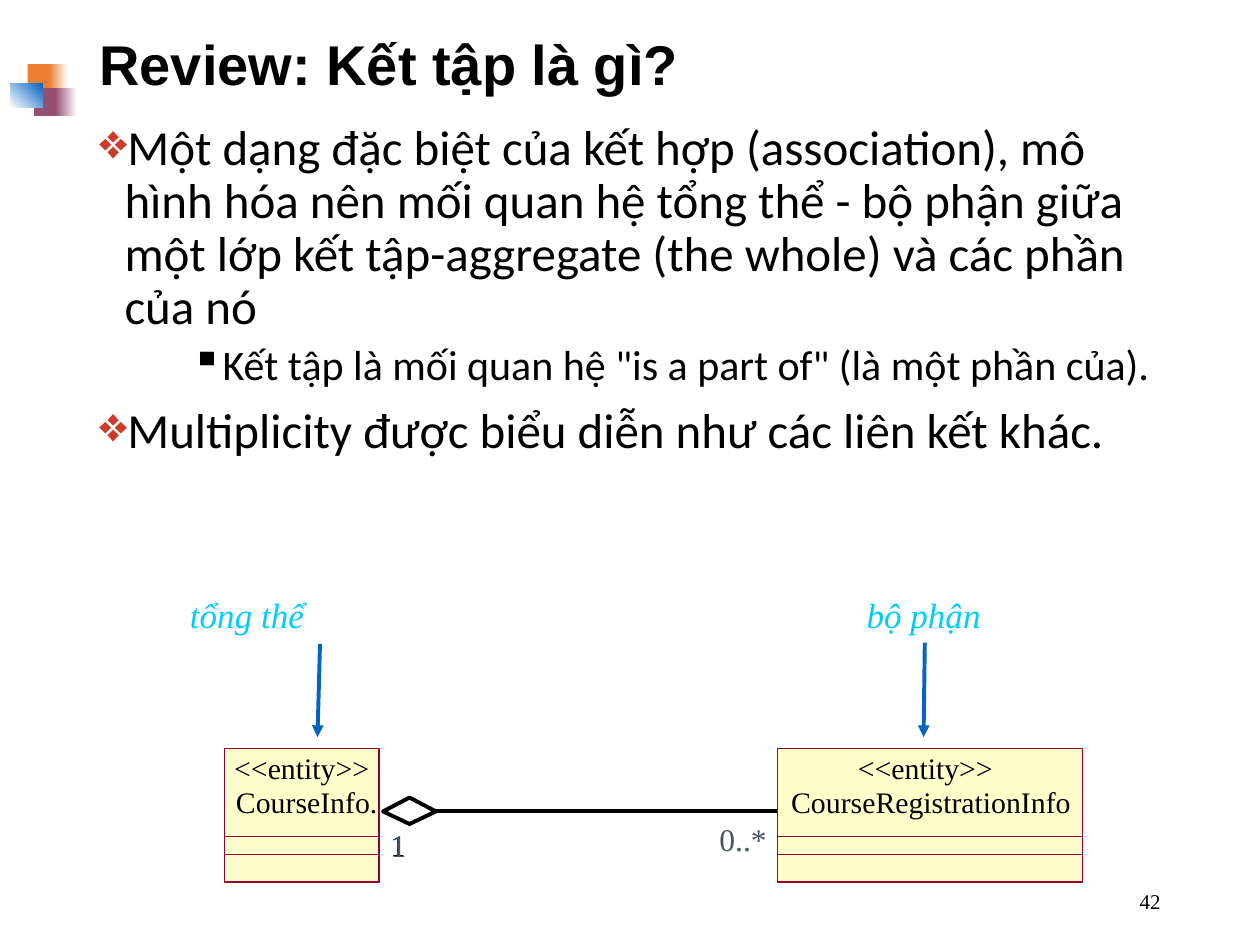
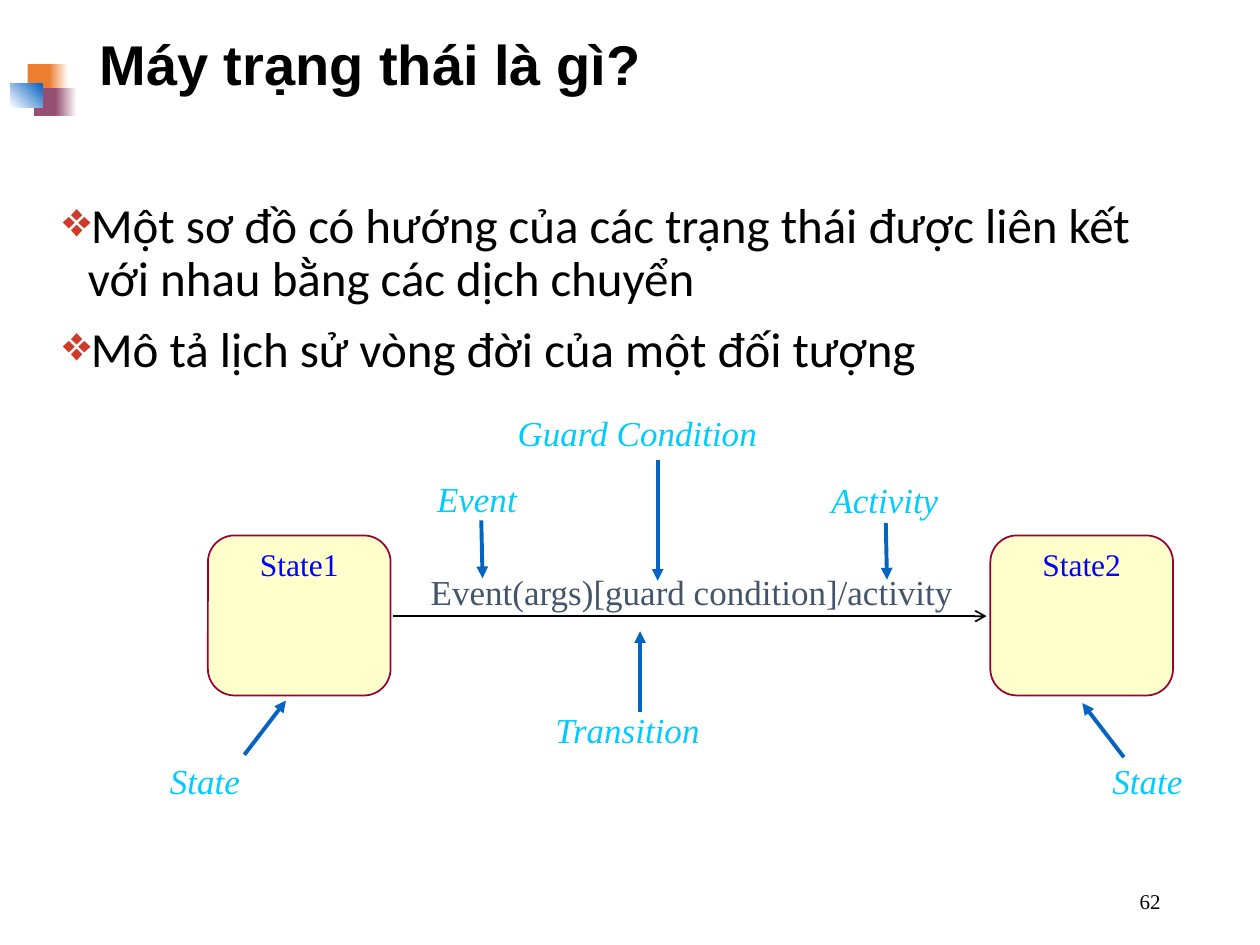
"""Build two lecture slides on aggregation and state machines."""
from dataclasses import dataclass, replace
from typing import Any, NamedTuple

from lxml import etree
from pptx import Presentation
from pptx.dml.color import RGBColor
from pptx.enum import shapes, text
from pptx.oxml import ns
from pptx.slide import Slide
from pptx.util import Inches, Pt

BLACK = RGBColor(0x00, 0x00, 0x00)
WHITE = RGBColor(0xFF, 0xFF, 0xFF)
ORANGE = RGBColor(0xED, 0x7D, 0x31)
PLUM = RGBColor(0x95, 0x4F, 0x72)
BLUE = RGBColor(0x05, 0x63, 0xC1)
CYAN = RGBColor(0x00, 0xCC, 0xFF)
SLATE = RGBColor(0x44, 0x54, 0x6A)
CREAM = RGBColor(0xFF, 0xFF, 0xCC)
WINE = RGBColor(0x99, 0x00, 0x33)
INK = RGBColor(0x00, 0x00, 0xFF)
RED = RGBColor(0xCE, 0x3B, 0x2A)

RECT = shapes.MSO_SHAPE.RECTANGLE
ROUND = shapes.MSO_SHAPE.ROUNDED_RECTANGLE
LEFT, MID, RIGHT = text.PP_ALIGN.LEFT, text.PP_ALIGN.CENTER, text.PP_ALIGN.RIGHT


@dataclass(frozen=True)
class Style:
    """Look of a text box."""
    size: int
    color: RGBColor = BLACK
    font: str = "Times New Roman"
    bold: bool = False
    slant: bool = False
    align: Any = LEFT
    tight: bool = False
    wrap: bool = True
    center: bool = False
    lead: float = 1.0


HEAD = Style(32, font="Arial", bold=True, center=True, lead=0.9)
FOOT = Style(12, align=RIGHT, center=True)
NOTE = Style(20, CYAN, slant=True)
HINT = replace(NOTE, wrap=False)
TERM = Style(17, align=MID, tight=True, wrap=False)
COUNT = Style(18, SLATE, tight=True, wrap=False)
STATE = Style(18, INK, align=MID)
RULE = Style(20, SLATE)


class Label(NamedTuple):
    """Words in a placed box."""
    words: str
    left: float
    top: float
    wide: float
    high: float
    style: Style


class Line(NamedTuple):
    """A line with an optional arrowhead at its end."""
    x1: float
    y1: float
    x2: float
    y2: float
    color: RGBColor = BLUE
    width: float = 2.25
    tip: str = "triangle"


class Tile(NamedTuple):
    """One rectangle of the corner mark."""
    left: float
    top: float
    wide: float
    high: float
    start: RGBColor
    end: RGBColor
    angle: int = 0


class Point(NamedTuple):
    """One bulleted paragraph."""
    words: str
    level: int = 0


class Level(NamedTuple):
    """Look of a bullet level."""
    size: int
    indent: float
    gap: int
    mark: str
    color: RGBColor


class Entity(NamedTuple):
    """A class box with its text places."""
    name: str
    left: float
    wide: float
    tag: float
    text: float
    span: float


TILES = (
    Tile(0.22, 0.51, 0.2, 0.22, ORANGE, ORANGE),
    Tile(0.39, 0.51, 0.15, 0.22, ORANGE, WHITE),
    Tile(0.27, 0.7, 0.19, 0.22, PLUM, PLUM),
    Tile(0.44, 0.7, 0.17, 0.22, PLUM, WHITE),
    Tile(0.08, 0.66, 0.26, 0.19, WHITE, BLUE, 45),
)
LEVELS = (Level(28, 0.2, 10, "❖", RED), Level(24, 0.93, 5, "▪", BLACK))


def add_node(parent: Any, tag: str, **attrs: str) -> Any:
    """Append a drawing element to an XML parent."""
    return etree.SubElement(parent, ns.qn(tag), attrs)


def add_run(para: Any, words: str, style: Style) -> None:
    """Add a styled run to a paragraph."""
    run = para.add_run()
    run.text = words
    font = run.font
    font.name, font.size = style.font, Pt(style.size)
    font.bold, font.italic = style.bold, style.slant
    font.color.rgb = style.color


def add_label(slide: Slide, label: Label) -> None:
    """Draw one line of text."""
    style = label.style
    box = slide.shapes.add_textbox(*map(Inches, label[1:5]))
    frame = box.text_frame
    frame.word_wrap = style.wrap
    if style.tight:
        frame.margin_left = frame.margin_right = 0
        frame.margin_top = frame.margin_bottom = 0
    if style.center:
        frame.vertical_anchor = text.MSO_ANCHOR.MIDDLE
    else:
        frame.auto_size = text.MSO_AUTO_SIZE.SHAPE_TO_FIT_TEXT
    para = frame.paragraphs[0]
    para.alignment, para.line_spacing = style.align, style.lead
    add_run(para, label.words, style)


def add_body(slide: Slide, area: tuple[float, ...], points: list[Point]) -> None:
    """Draw the bulleted text."""
    frame = slide.shapes.add_textbox(*map(Inches, area)).text_frame
    frame.word_wrap = True
    for i, point in enumerate(points):
        para = frame.add_paragraph() if i else frame.paragraphs[0]
        level = LEVELS[point.level]
        para.level = point.level
        para.line_spacing, para.space_before = 0.9, Pt(level.gap)
        props = para._p.get_or_add_pPr()
        props.set("marL", str(Inches(level.indent)))
        props.set("indent", str(Inches(-0.2)))
        add_node(add_node(props, "a:buClr"), "a:srgbClr", val=str(level.color))
        add_node(props, "a:buChar", char=level.mark)
        add_run(para, point.words, Style(level.size, font="Calibri"))


def add_line(slide: Slide, line: Line) -> None:
    """Draw a straight line or arrow."""
    ends = map(Inches, line[:4])
    link = slide.shapes.add_connector(shapes.MSO_CONNECTOR.STRAIGHT, *ends)
    link.line.color.rgb, link.line.width = line.color, Pt(line.width)
    props = link.element.spPr
    if line.tip:
        add_node(props.find(ns.qn("a:ln")), "a:tailEnd", type=line.tip)
    add_node(props, "a:effectLst")


def add_box(slide: Slide, kind: Any, area: tuple[float, ...], width: float) -> None:
    """Draw a cream box with a wine outline."""
    box = slide.shapes.add_shape(kind, *map(Inches, area))
    box.shadow.inherit = False
    box.fill.solid()
    box.fill.fore_color.rgb = CREAM
    box.line.color.rgb, box.line.width = WINE, Pt(width)


def add_entity(slide: Slide, item: Entity) -> None:
    """Draw a class box with three compartments."""
    for top in (5.94, 6.64, 6.78):
        add_box(slide, RECT, (item.left, top, item.wide, 7 - top), 0)
    add_label(slide, Label("<<entity>>", item.tag, 5.95, 1.11, 0.28, TERM))
    add_label(slide, Label(item.name, item.text, 6.22, item.span, 0.29, TERM))


def add_state(slide: Slide, name: str, left: float) -> None:
    """Draw a rounded state box with its name."""
    add_box(slide, ROUND, (left, 4.25, 1.45, 1.27), 1)
    add_label(slide, Label(name, left + 0.17, 4.28, 1.11, 0.4, STATE))


def add_mark(slide: Slide) -> None:
    """Draw the corner mark."""
    group = slide.shapes.add_group_shape()
    for tile in TILES:
        box = group.shapes.add_shape(RECT, *map(Inches, tile[:4]))
        box.shadow.inherit = False
        box.line.fill.background()
        if tile.start == tile.end:
            box.fill.solid()
            box.fill.fore_color.rgb = tile.start
            continue
        box.fill.gradient()
        box.fill.gradient_angle = tile.angle
        for stop, color in zip(box.fill.gradient_stops, (tile.start, tile.end)):
            stop.color.rgb = color


def add_slide(deck: Any, title: str, number: str) -> Slide:
    """Add a slide with mark, title and number."""
    slide = deck.slides.add_slide(deck.slide_layouts[6])
    add_mark(slide)
    add_label(slide, Label(title, 0.69, 0.13, 8.62, 0.81, HEAD))
    add_label(slide, Label(number, 7.06, 6.95, 2.25, 0.4, FOOT))
    return slide


def add_diamond(slide: Slide) -> None:
    """Draw the hollow aggregation diamond."""
    tips = [(3.25, 6.54), (3.46, 6.44), (3.25, 6.33)]
    pen = slide.shapes.build_freeform(Inches(3.04), Inches(6.44))
    pen.add_line_segments([(Inches(x), Inches(y)) for x, y in tips], close=True)
    shape = pen.convert_to_shape()
    shape.shadow.inherit = False
    shape.fill.background()
    shape.line.color.rgb, shape.line.width = BLACK, Pt(2.25)


def draw_whole(deck: Any) -> None:
    """Build the aggregation slide."""
    slide = add_slide(deck, "Review: Kết tập là gì?", "42")
    add_body(slide, (0.69, 0.93, 8.62, 5.66), [
        Point("Một dạng đặc biệt của kết hợp (association), mô hình hóa nên mối "
              "quan hệ tổng thể - bộ phận giữa một lớp kết tập-aggregate "
              "(the whole) và các phần của nó"),
        Point('Kết tập là mối quan hệ "is a part of" (là một phần của).', 1),
        Point("Multiplicity được biểu diễn như các liên kết khác."),
    ])
    for line in (Line(6.17, 6.44, 3.42, 6.44, BLACK, tip=""),
                 Line(2.54, 5.11, 2.52, 5.85), Line(7.34, 5.1, 7.33, 5.85)):
        add_line(slide, line)
    for item in (Entity("CourseRegistrationInfo", 6.17, 2.42, 6.79, 6.27, 2.24),
                 Entity("CourseInfo.", 1.78, 1.23, 1.84, 1.82, 1.23)):
        add_entity(slide, item)
    for label in (Label("tổng thể", 1.41, 4.66, 2.36, 0.43, NOTE),
                  Label("bộ phận", 6.78, 4.66, 1.3, 0.44, NOTE),
                  Label("1", 3.1, 6.56, 0.13, 0.28, replace(TERM, align=LEFT)),
                  Label("0..*", 5.71, 6.51, 0.38, 0.3, COUNT),
                  Label("1", 3.1, 6.56, 0.14, 0.3, COUNT)):
        add_label(slide, label)
    add_diamond(slide)


def draw_states(deck: Any) -> None:
    """Build the state machine slide."""
    slide = add_slide(deck, "Máy trạng thái là gì?", "62")
    add_body(slide, (0.4, 1.55, 9.14, 1.79), [
        Point("Một sơ đồ có hướng của các trạng thái được liên kết với nhau "
              "bằng các dịch chuyển"),
        Point("Mô tả lịch sử vòng đời của một đối tượng"),
    ])
    for words, left, top, wide in (
            ("State", 1.25, 5.98, 0.85), ("State", 8.73, 5.98, 0.85),
            ("Transition", 4.31, 5.57, 1.42), ("Guard Condition", 4.01, 3.22, 2.22),
            ("Activity", 6.5, 3.75, 1.08), ("Event", 3.37, 3.74, 0.91)):
        add_label(slide, Label(words, left, top, wide, 0.43, HINT))
    for line in (Line(8.92, 6.01, 8.59, 5.58), Line(5.08, 5.65, 5.08, 5.01),
                 Line(3.82, 4.13, 3.83, 4.59), Line(5.22, 3.65, 5.22, 4.61),
                 Line(7.03, 4.15, 7.04, 4.6), Line(1.94, 5.99, 2.27, 5.56),
                 Line(3.12, 4.89, 7.83, 4.89, BLACK, 1, "arrow")):
        add_line(slide, line)
    add_state(slide, "State1", 1.65)
    add_state(slide, "State2", 7.86)
    add_label(slide, Label("Event(args)[guard condition]/activity",
                           3.32, 4.48, 4.51, 0.44, RULE))


def main() -> None:
    """Build and save the deck."""
    deck = Presentation()
    deck.slide_width, deck.slide_height = Inches(10), Inches(7.5)
    draw_whole(deck)
    draw_states(deck)
    deck.save("out.pptx")


if __name__ == "__main__":
    main()
